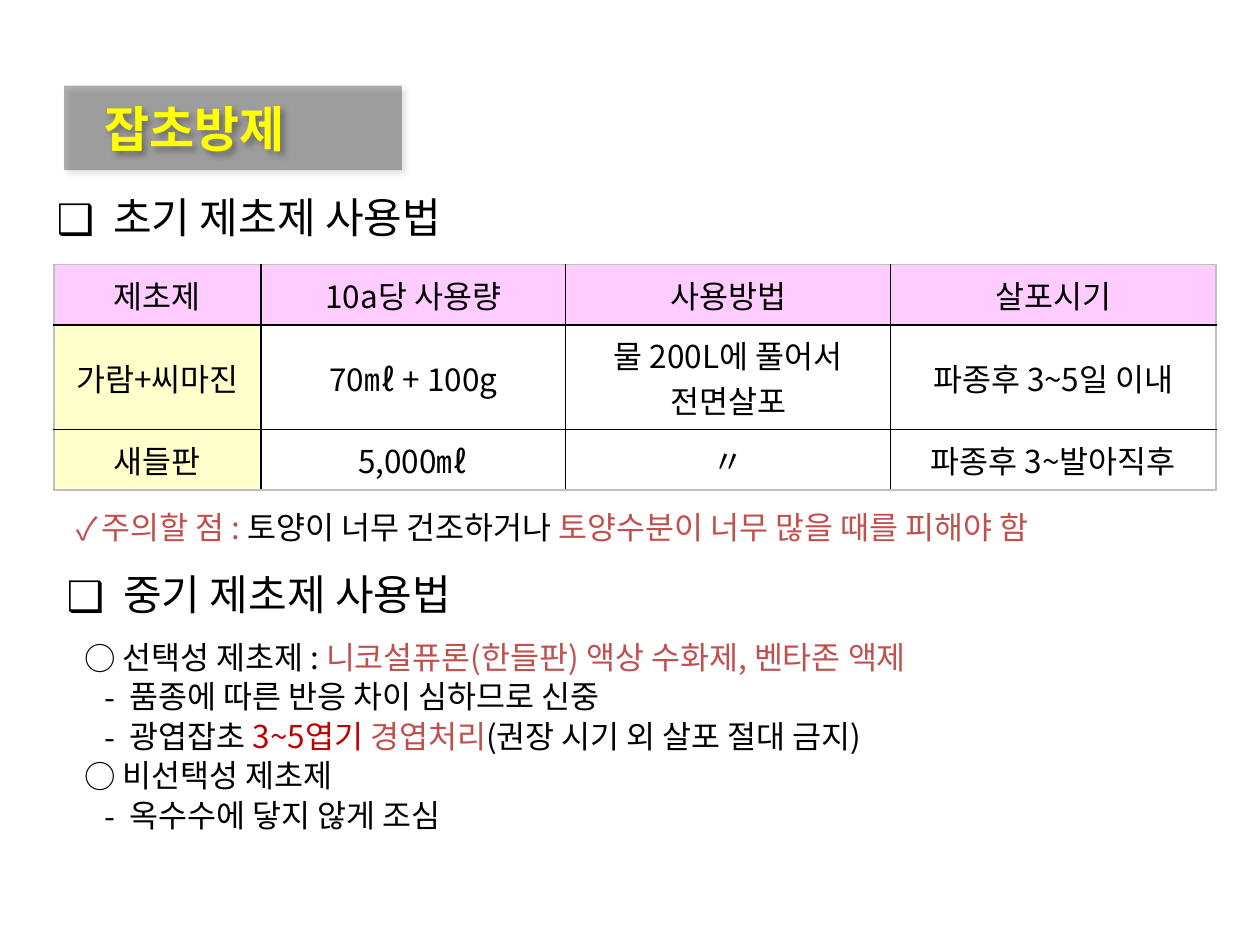
import dataclasses

import lxml.etree
import pptx
import pptx.dml.color
import pptx.enum.text
import pptx.oxml.ns
import pptx.util

Inches = pptx.util.Inches
Pt = pptx.util.Pt
Anchor = pptx.enum.text.MSO_ANCHOR
Align = pptx.enum.text.PP_ALIGN
qn = pptx.oxml.ns.qn


@dataclasses.dataclass(frozen=True)
class Theme:
    font: str = "Noto Sans CJK KR"
    ink: str = "000000"
    accent: str = "C0504D"
    strong: str = "C00000"
    title: str = "FFFF00"
    header: str = "FFCCFF"
    product: str = "FFFFCC"
    paper: str = "FFFFFF"
    frame: str = "BFBFBF"
    title_size: int = 28
    heading_size: int = 24
    body_size: int = 18


class WeedSlide:
    """Holds the theme and the current page, and adds each kind of element to it."""

    def __init__(self, deck, theme):
        self.theme = theme
        self.page = deck.slides.add_slide(deck.slide_layouts[1])

    def place(self, shape, left, top, width, height):
        shape.left, shape.top = Inches(left), Inches(top)
        shape.width, shape.height = Inches(width), Inches(height)

    def color(self, value):
        return pptx.dml.color.RGBColor.from_string(value)

    def child(self, parent, tag, **attributes):
        return lxml.etree.SubElement(parent, qn(tag), attributes)

    def add_spans(self, para, spans, size, bold=False):
        for text, color in spans:
            span = para.add_run()
            span.text = text
            span.font.size, span.font.bold = Pt(size), bold
            span.font.color.rgb = self.color(color)
            span.font.name = self.theme.font
            self.child(span.font._element, "a:ea", typeface=self.theme.font)

    def bullet(self, para, mark, margin, hang):
        properties = para._p.get_or_add_pPr()
        properties.set("marL", str(Inches(margin)))
        properties.set("indent", str(-Inches(hang)))
        self.child(properties, "a:buFont", typeface=self.theme.font)
        self.child(properties, "a:buChar", char=mark)

    def title(self, text, *area):
        box = self.page.shapes.title
        self.place(box, *area)
        box.fill.solid()
        box.fill.fore_color.rgb = self.color(self.theme.ink)
        fill = box._element.spPr.find(qn("a:solidFill"))
        self.child(fill[0], "a:alpha", val="30000")
        effects = self.child(box._element.spPr, "a:effectLst")
        shadow = self.child(effects, "a:outerShdw", blurRad=str(Pt(4)), dist=str(Pt(3)),
                            dir="2700000", algn="tl", rotWithShape="0")
        tint = self.child(shadow, "a:srgbClr", val=self.theme.ink)
        self.child(tint, "a:alpha", val="40000")
        frame = box.text_frame
        frame.auto_size = pptx.enum.text.MSO_AUTO_SIZE.NONE
        frame.vertical_anchor = Anchor.MIDDLE
        frame.margin_left = Inches(0.32)
        para = frame.paragraphs[0]
        para.alignment = Align.LEFT
        self.add_spans(para, [(text, self.theme.title)], self.theme.title_size, True)

    def marked_line(self, mark, hang, spans, size, area, spacing=1.0):
        box = self.page.shapes.add_textbox(*map(Inches, area))
        box.text_frame.word_wrap = True
        para = box.text_frame.paragraphs[0]
        self.bullet(para, mark, hang, hang)
        para.line_spacing = spacing
        self.add_spans(para, spans, size)

    def heading(self, text, *area):
        self.marked_line("❑", 0.45, [(text, self.theme.ink)], self.theme.heading_size, area)

    def note(self, spans, *area):
        self.marked_line("✓", 0.2, spans, self.theme.body_size, area, 1.5)

    def bullets(self, items, *area):
        box = self.page.placeholders[1]
        self.place(box, *area)
        frame = box.text_frame
        frame.auto_size = pptx.enum.text.MSO_AUTO_SIZE.NONE
        layout = {"○": (0.36, 0.3), "-": (0.42, 0.2)}
        for index, (mark, spans) in enumerate(items):
            para = frame.add_paragraph() if index else frame.paragraphs[0]
            self.bullet(para, mark, *layout[mark])
            para.space_before = Pt(1 if index else 0)
            self.add_spans(para, spans, self.theme.body_size)

    def borders(self, cell, outer):
        properties = cell._tc.get_or_add_tcPr()
        for side, is_outer in zip("LRTB", outer):
            line = self.child(properties, f"a:ln{side}", w=str(Pt(1)))
            fill = self.child(line, "a:solidFill")
            self.child(fill, "a:srgbClr", val=self.theme.frame if is_outer else self.theme.ink)

    def table(self, rows, widths, heights, left, top):
        shape = self.page.shapes.add_table(
            len(rows), len(widths), Inches(left), Inches(top),
            Inches(sum(widths)), Inches(sum(heights)))
        grid = shape.table
        for column, width in zip(grid.columns, widths):
            column.width = Inches(width)
        last_row, last_column = len(rows) - 1, len(widths) - 1
        for r, texts in enumerate(rows):
            grid.rows[r].height = Inches(heights[r])
            for c, text in enumerate(texts):
                cell = grid.cell(r, c)
                self.borders(cell, (c == 0, c == last_column, r == 0, r == last_row))
                shade = self.theme.product if c == 0 else self.theme.paper
                cell.fill.solid()
                cell.fill.fore_color.rgb = self.color(self.theme.header if r == 0 else shade)
                cell.vertical_anchor = Anchor.MIDDLE
                para = cell.text_frame.paragraphs[0]
                para.alignment = Align.CENTER
                self.add_spans(para, [(text, self.theme.ink)], self.theme.body_size)


def main():
    deck = pptx.Presentation()
    deck.slide_width, deck.slide_height = Inches(10), Inches(7.5)
    theme = Theme()
    ink, accent = theme.ink, theme.accent
    slide = WeedSlide(deck, theme)
    slide.title("잡초방제", 0.51, 0.68, 2.68, 0.67)
    slide.heading("초기 제초제 사용법", 0.35, 1.47, 4.61, 0.49)
    slide.table(
        [["제초제", "10a당 사용량", "사용방법", "살포시기"],
         ["가람+씨마진", "70㎖ + 100g", "물 200L에 풀어서 전면살포", "파종후 3~5일 이내"],
         ["새들판", "5,000㎖", "〃", "파종후 3~발아직후"]],
        [1.64, 2.42, 2.58, 2.58], [0.48, 0.83, 0.48], 0.43, 2.1)
    slide.note(
        [("주의할 점 : ", accent), ("토양이 너무 건조하거나 ", ink),
         ("토양수분이 너무 많을 때를 피해야 함", accent)],
        0.51, 3.83, 9.1, 0.54)
    slide.heading("중기 제초제 사용법", 0.43, 4.46, 4.37, 0.49)
    slide.bullets(
        [("○", [("선택성 제초제 : ", ink), ("니코설퓨론(한들판) 액상 수화제, 벤타존 액제", accent)]),
         ("-", [("품종에 따른 반응 차이 심하므로 신중", ink)]),
         ("-", [("광엽잡초 ", ink), ("3~5엽기 ", theme.strong), ("경엽처리", accent),
                ("(권장 시기 외 살포 절대 금지)", ink)]),
         ("○", [("비선택성 제초제", ink)]),
         ("-", [("옥수수에 닿지 않게 조심", ink)])],
        0.51, 5.01, 8.43, 2.05)
    deck.save("out.pptx")


if __name__ == "__main__":
    main()
